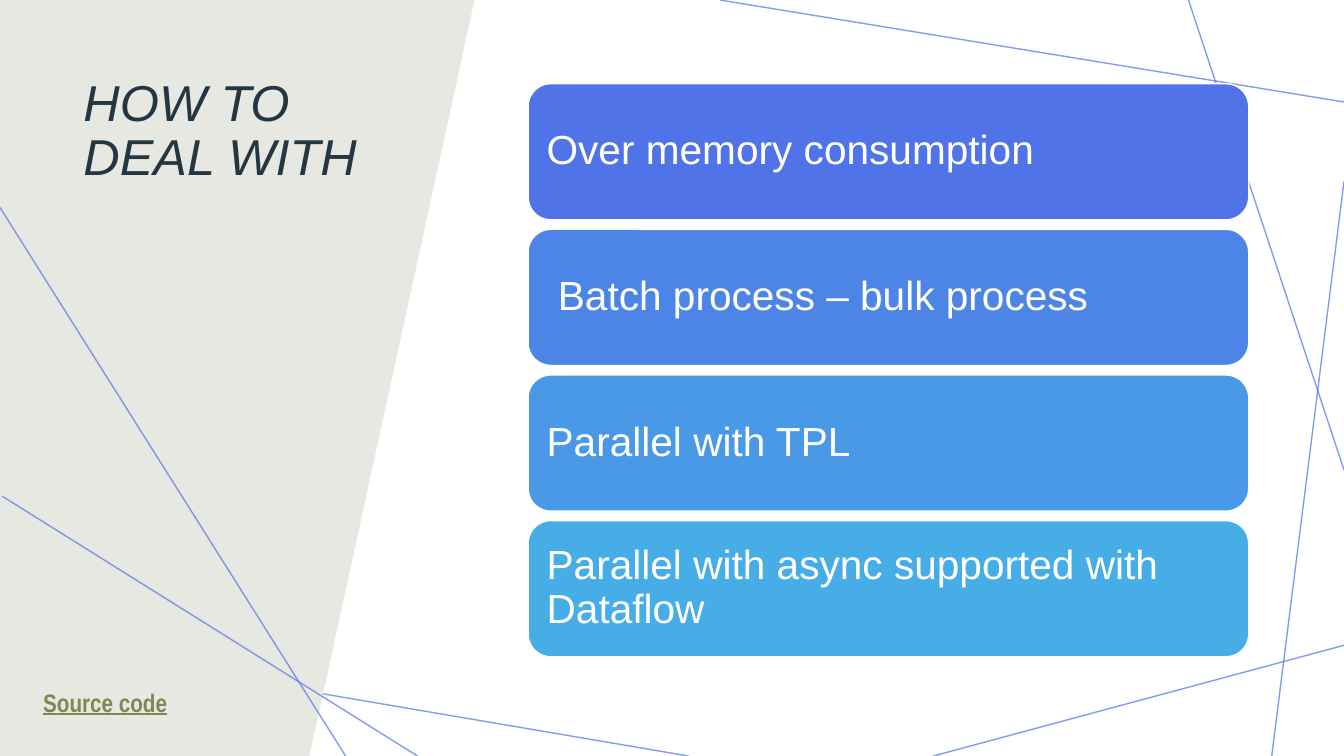
from lxml import etree
from pptx import Presentation
from pptx.dml.color import RGBColor
from pptx.enum.shapes import MSO_CONNECTOR, MSO_SHAPE
from pptx.enum.text import MSO_ANCHOR, MSO_AUTO_SIZE, PP_ALIGN
from pptx.oxml.ns import qn
from pptx.util import Cm, Pt

STRAIGHT = MSO_CONNECTOR.STRAIGHT
ROUNDED = MSO_SHAPE.ROUNDED_RECTANGLE
TOP, MIDDLE = MSO_ANCHOR.TOP, MSO_ANCHOR.MIDDLE
LEFT = PP_ALIGN.LEFT
NO_AUTOFIT = MSO_AUTO_SIZE.NONE
GROW = MSO_AUTO_SIZE.SHAPE_TO_FIT_TEXT

WIDTH, HEIGHT = 33.87, 19.05
COLORS = {
    "white": "FFFFFF",
    "panel": "E7E8E2",
    "title": "243641",
    "accent": "5173E8",
    "link": "7D8852",
}
# Each line is x1, y1, x2, y2 in centimetres.
LINES_BEHIND_PANEL = [
    (17.35, HEIGHT, 0, 16.1),
    (WIDTH, 16.26, 23.52, HEIGHT),
    (WIDTH, 4.57, 32.05, HEIGHT),
    (WIDTH, 11.84, 29.95, 0),
    (WIDTH, 2.57, 18.14, 0),
]
LINES_OVER_PANEL = [
    (10.52, HEIGHT, 0.05, 12.5),
    (0, 5.23, 8.71, HEIGHT),
]
PANEL_OUTLINE = [(7.8, HEIGHT), (0, HEIGHT), (0, 0), (11.96, 0)]
CARDS = [
    ("Over memory consumption", "5173E8"),
    (" Batch process – bulk process", "4D85E7"),
    ("Parallel with TPL", "4A99E7"),
    ("Parallel with async supported with Dataflow", "46ADE6"),
]
CARD_LEFT, CARD_TOP, CARD_WIDTH, CARD_HEIGHT = 13.31, 2.11, 18.16, 3.43
CARD_PITCH = 3.67


class SlideBuilder:
    def __init__(self, slide):
        self.slide = slide
        self.shapes = slide.shapes

    def color(self, name):
        return RGBColor.from_string(COLORS.get(name, name))

    def set_text(self, shape, text, size, color, font="Arial", spacing=0.9, anchor=TOP):
        """Set the text of a shape and return its run font."""
        frame = shape.text_frame
        frame.text = text
        frame.word_wrap = True
        frame.vertical_anchor = anchor
        paragraph = frame.paragraphs[0]
        paragraph.alignment = LEFT
        paragraph.line_spacing = spacing
        run_font = paragraph.runs[0].font
        run_font.name = font
        run_font.size = Pt(size)
        run_font.color.rgb = self.color(color)
        return run_font

    def background(self, color):
        fill = self.slide.background.fill
        fill.solid()
        fill.fore_color.rgb = self.color(color)

    def line(self, x1, y1, x2, y2):
        """Draw a thin accent line at 70 % opacity."""
        line = self.shapes.add_connector(STRAIGHT, Cm(x1), Cm(y1), Cm(x2), Cm(y2))
        line.line.width = Pt(1)
        line.line.color.rgb = self.color("accent")
        properties = line._element.spPr
        tint = properties.find(".//" + qn("a:srgbClr"))
        etree.SubElement(tint, qn("a:alpha"), val="70000")
        etree.SubElement(properties, qn("a:effectLst"))

    def panel(self, outline, color):
        points = [(Cm(x), Cm(y)) for x, y in outline]
        builder = self.shapes.build_freeform(*points[0])
        builder.add_line_segments(points[1:], close=True)
        panel = builder.convert_to_shape()
        panel.shadow.inherit = False
        panel.fill.solid()
        panel.fill.fore_color.rgb = self.color(color)
        panel.line.fill.background()

    def title(self, text, left, top, width, height):
        """Fill the title placeholder and bring it in front of the panel."""
        title = self.shapes.title
        title.left, title.top = Cm(left), Cm(top)
        title.width, title.height = Cm(width), Cm(height)
        self.set_text(title, text, 36, "title").italic = True
        title.text_frame.auto_size = NO_AUTOFIT
        title._element.getparent().append(title._element)

    def card(self, text, color, top):
        card = self.shapes.add_shape(
            ROUNDED, Cm(CARD_LEFT), Cm(top), Cm(CARD_WIDTH), Cm(CARD_HEIGHT)
        )
        card.shadow.inherit = False
        card.fill.solid()
        card.fill.fore_color.rgb = self.color(color)
        card.line.color.rgb = self.color("white")
        card.line.width = Pt(1)
        frame = card.text_frame
        frame.margin_left = frame.margin_right = Cm(0.3)
        frame.margin_top = frame.margin_bottom = Cm(0.3)
        self.set_text(card, text, 29, "white", anchor=MIDDLE)

    def source_label(self, text, left, top, width, height):
        label = self.shapes.add_textbox(Cm(left), Cm(top), Cm(width), Cm(height))
        font = self.set_text(label, text, 18, "link", font="Arial Narrow", spacing=1.0)
        font.bold = True
        font.underline = True
        label.text_frame.auto_size = GROW


def main():
    presentation = Presentation()
    presentation.slide_width = Cm(WIDTH)
    presentation.slide_height = Cm(HEIGHT)
    title_only = presentation.slide_layouts[5]
    builder = SlideBuilder(presentation.slides.add_slide(title_only))

    builder.background("white")
    for ends in LINES_BEHIND_PANEL:
        builder.line(*ends)
    builder.panel(PANEL_OUTLINE, "panel")
    builder.title("HOW TO DEAL WITH", 1.85, 1.83, 8.23, 8.1)
    for ends in LINES_OVER_PANEL:
        builder.line(*ends)
    for row, (text, color) in enumerate(CARDS):
        builder.card(text, color, CARD_TOP + row * CARD_PITCH)
    builder.source_label("Source code", 0.84, 17.2, 7.62, 1.02)

    presentation.save("out.pptx")


if __name__ == "__main__":
    main()
